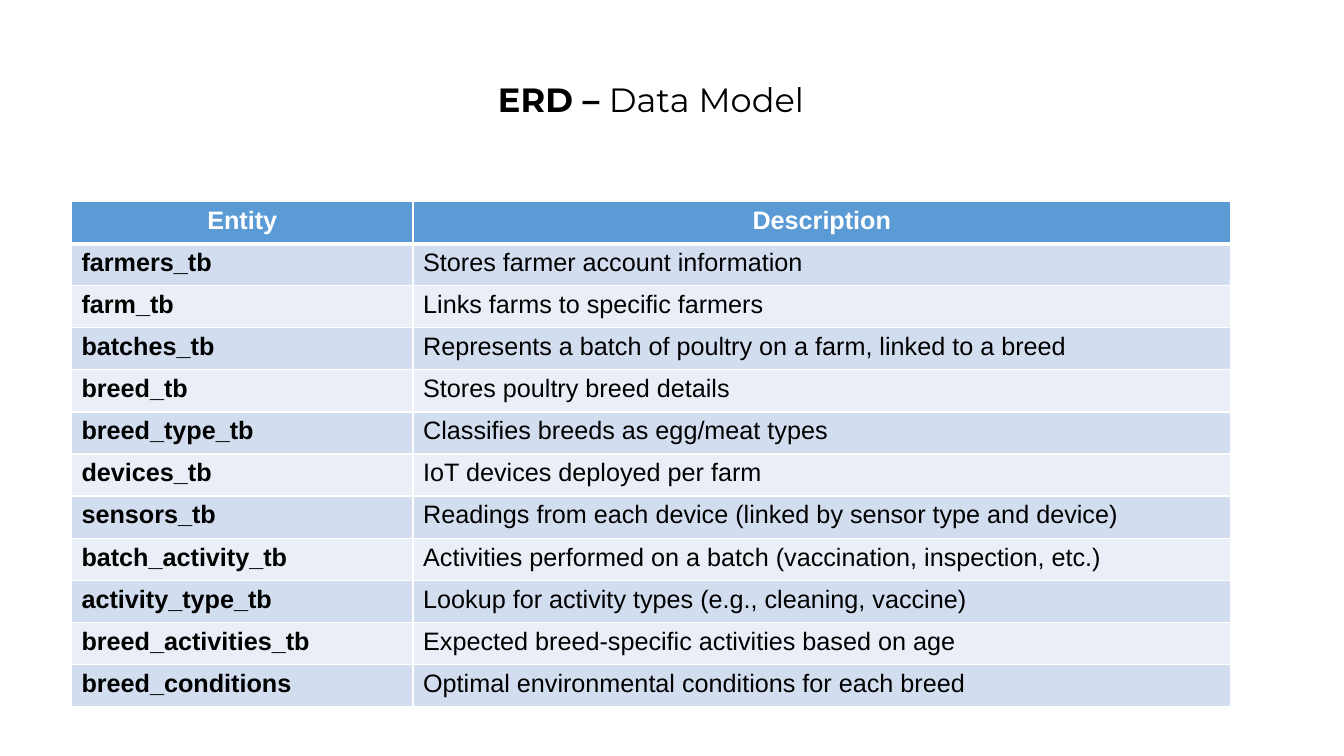
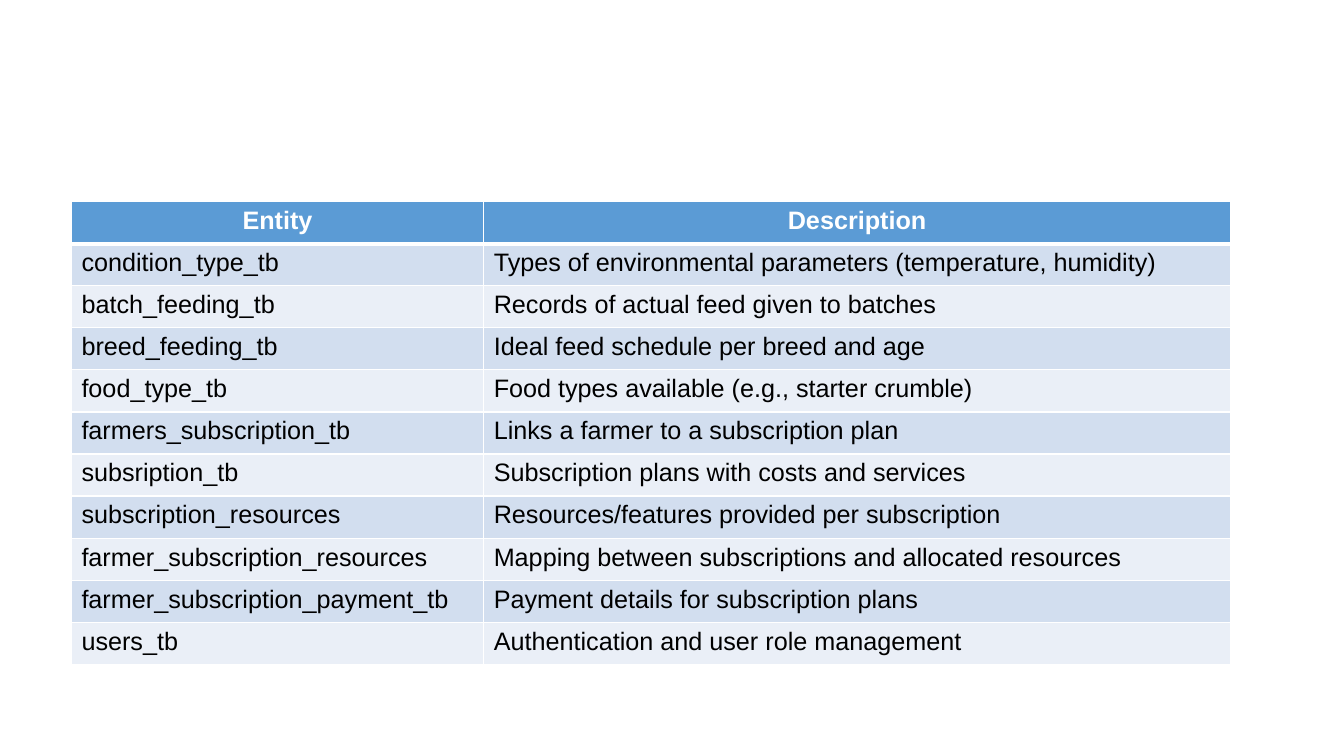
import pptx
import pptx.dml.color
import pptx.enum.text
import pptx.oxml.ns
import pptx.util
from lxml import etree

Cm, Pt = pptx.util.Cm, pptx.util.Pt
PP_ALIGN = pptx.enum.text.PP_ALIGN

COLORS = {
    "header": "5B9BD5",
    "band_dark": "D2DEEF",
    "band_light": "EAEFF7",
    "rule": "FFFFFF",
    "header_text": "FFFFFF",
    "text": "000000",
}
TITLE_FONT, TABLE_FONT = "Montserrat", "Arial"
TITLE_BOX = (Cm(1.8), Cm(0.71), Cm(29.21), Cm(3.68))
TABLE_LEFT, TABLE_TOP, TABLE_WIDTH = Cm(1.8), Cm(5.08), Cm(29.21)
ROW_HEIGHT = Cm(1.06)
RULE_WIDTH, HEADER_RULE_WIDTH = Pt(1), Pt(3)

HEADINGS = ("Entity", "Description")
CORE_ENTITIES = [
    ("farmers_tb", "Stores farmer account information"),
    ("farm_tb", "Links farms to specific farmers"),
    ("batches_tb", "Represents a batch of poultry on a farm, linked to a breed"),
    ("breed_tb", "Stores poultry breed details"),
    ("breed_type_tb", "Classifies breeds as egg/meat types"),
    ("devices_tb", "IoT devices deployed per farm"),
    ("sensors_tb", "Readings from each device (linked by sensor type and device)"),
    ("batch_activity_tb", "Activities performed on a batch (vaccination, inspection, etc.)"),
    ("activity_type_tb", "Lookup for activity types (e.g., cleaning, vaccine)"),
    ("breed_activities_tb", "Expected breed-specific activities based on age"),
    ("breed_conditions", "Optimal environmental conditions for each breed"),
]
SUPPORT_ENTITIES = [
    ("condition_type_tb", "Types of environmental parameters (temperature, humidity)"),
    ("batch_feeding_tb", "Records of actual feed given to batches"),
    ("breed_feeding_tb", "Ideal feed schedule per breed and age"),
    ("food_type_tb", "Food types available (e.g., starter crumble)"),
    ("farmers_subscription_tb", "Links a farmer to a subscription plan"),
    ("subsription_tb", "Subscription plans with costs and services"),
    ("subscription_resources", "Resources/features provided per subscription"),
    ("farmer_subscription_resources", "Mapping between subscriptions and allocated resources"),
    ("farmer_subscription_payment_tb", "Payment details for subscription plans"),
    ("users_tb", "Authentication and user role management"),
]


def rgb(name):
    return pptx.dml.color.RGBColor.from_string(COLORS[name])


def add_run(paragraph, text, font, size, color, bold):
    run = paragraph.add_run()
    run.text = text
    run.font.name = font
    run.font.size = Pt(size)
    run.font.bold = bold
    run.font.color.rgb = rgb(color)


def add_title(slide, box, parts):
    """Centre a title made of (text, bold) parts in the box."""
    frame = slide.shapes.add_textbox(*box).text_frame
    frame.word_wrap = True
    frame.vertical_anchor = pptx.enum.text.MSO_ANCHOR.MIDDLE
    paragraph = frame.paragraphs[0]
    paragraph.alignment = PP_ALIGN.CENTER
    paragraph.line_spacing = 0.9
    for text, bold in parts:
        add_run(paragraph, text, TITLE_FONT, 24, "text", bold)


def set_borders(cell, top, bottom):
    qn = pptx.oxml.ns.qn
    properties = cell._tc.get_or_add_tcPr()
    widths = {"lnL": RULE_WIDTH, "lnR": RULE_WIDTH, "lnT": top, "lnB": bottom}
    for side, width in widths.items():
        line = etree.SubElement(properties, qn(f"a:{side}"), w=str(width))
        fill = etree.SubElement(line, qn("a:solidFill"))
        etree.SubElement(fill, qn("a:srgbClr"), val=COLORS["rule"])


def add_entity_table(slide, left, top, width, entity_width, entities, bold_names):
    rows = [HEADINGS, *entities]
    table = slide.shapes.add_table(
        len(rows), len(HEADINGS), left, top, width, ROW_HEIGHT * len(rows)).table
    table.columns[0].width = entity_width
    table.columns[1].width = width - entity_width
    for r, texts in enumerate(rows):
        table.rows[r].height = ROW_HEIGHT
        is_header = r == 0
        band = "header" if is_header else "band_dark" if r % 2 else "band_light"
        for c, text in enumerate(texts):
            cell = table.cell(r, c)
            set_borders(cell,
                        top=HEADER_RULE_WIDTH if r == 1 else RULE_WIDTH,
                        bottom=HEADER_RULE_WIDTH if is_header else RULE_WIDTH)
            cell.fill.solid()
            cell.fill.fore_color.rgb = rgb(band)
            paragraph = cell.text_frame.paragraphs[0]
            paragraph.alignment = PP_ALIGN.CENTER if is_header else PP_ALIGN.LEFT
            add_run(paragraph, text, TABLE_FONT, 18,
                    "header_text" if is_header else "text",
                    is_header or (bold_names and c == 0))


def add_entity_slide(deck, entities, entity_width, bold_names=False, title=None):
    slide = deck.slides.add_slide(deck.slide_layouts[6])
    if title:
        add_title(slide, TITLE_BOX, title)
    add_entity_table(slide, TABLE_LEFT, TABLE_TOP, TABLE_WIDTH,
                     entity_width, entities, bold_names)


def main():
    deck = pptx.Presentation()
    deck.slide_width, deck.slide_height = Cm(33.87), Cm(19.05)
    add_entity_slide(deck, CORE_ENTITIES, Cm(8.61), bold_names=True,
                     title=[("ERD – ", True), ("Data Model", False)])
    add_entity_slide(deck, SUPPORT_ENTITIES, Cm(10.39))
    deck.save("out.pptx")


if __name__ == "__main__":
    main()
